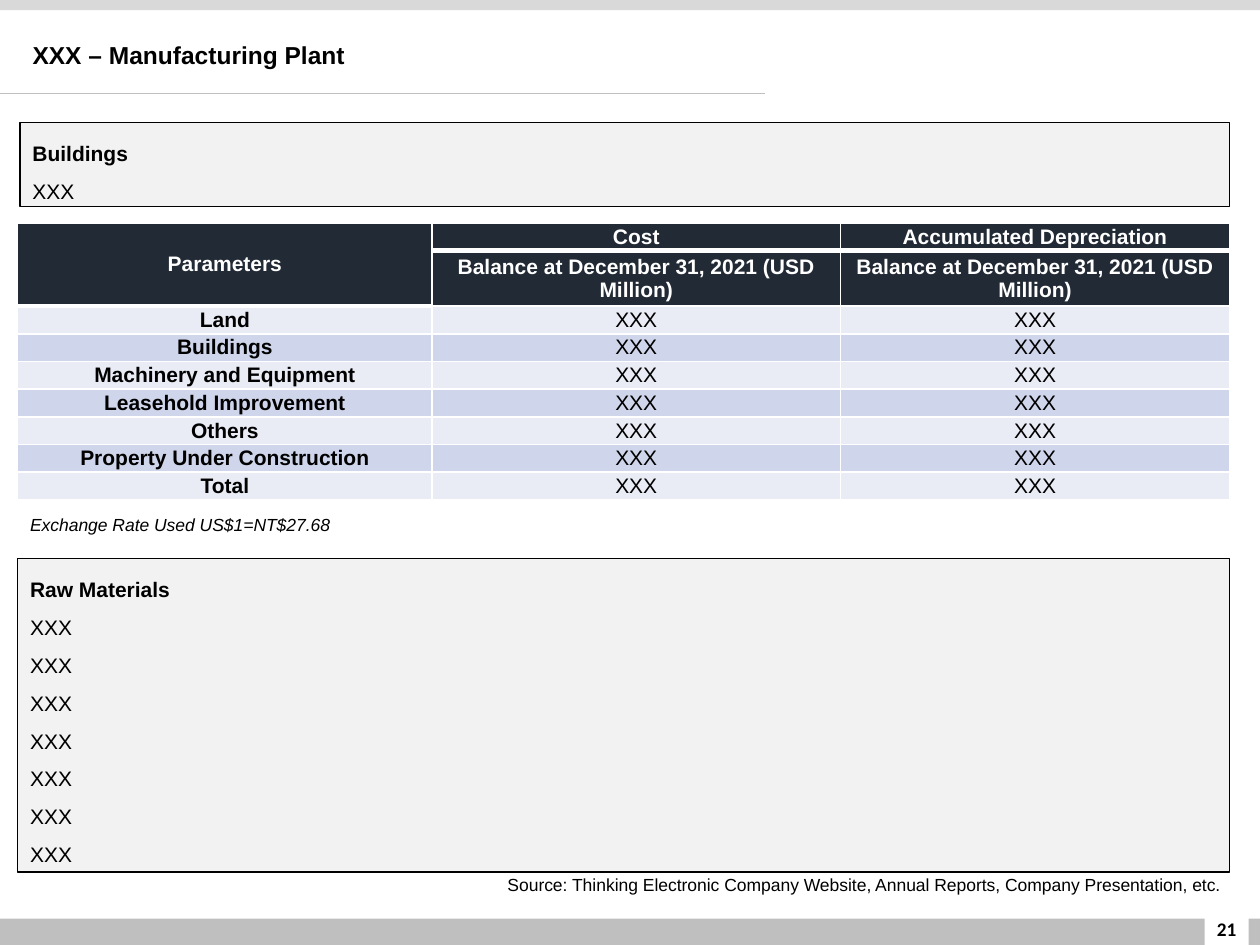
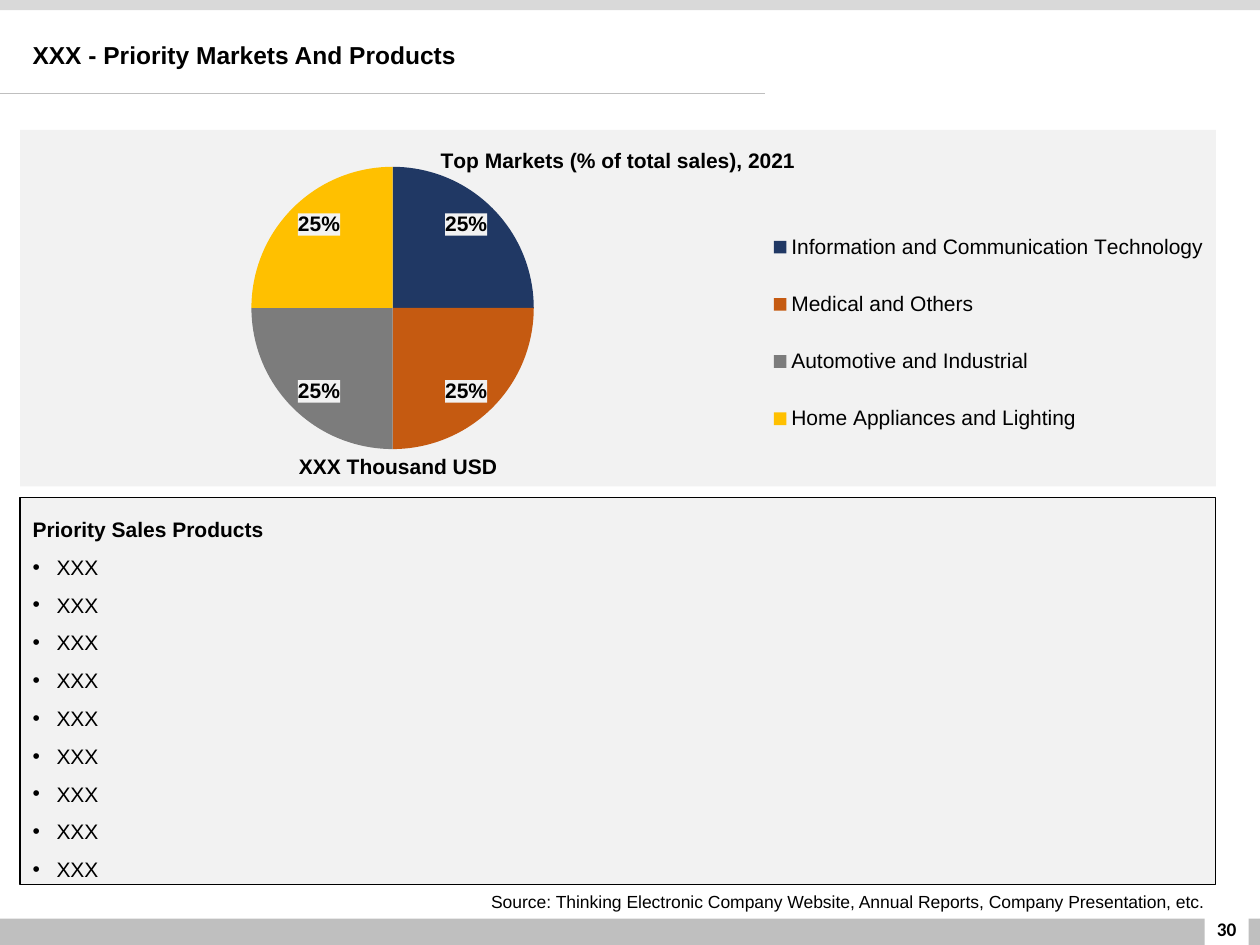
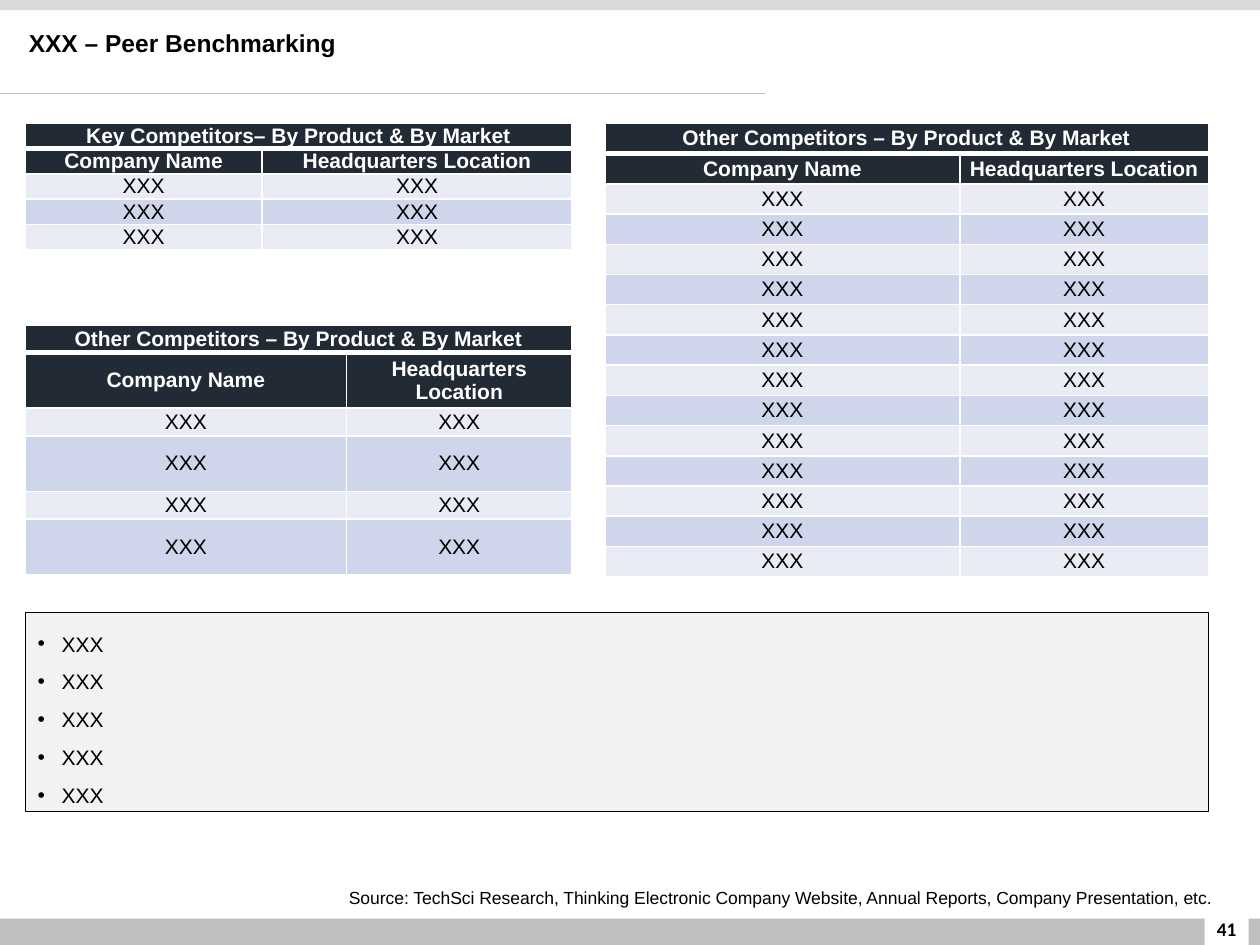
"""Build three company profile slides: plant, priority markets and peer benchmarking."""
from pptx import Presentation
from pptx.chart.data import CategoryChartData
from pptx.dml.color import RGBColor
from pptx.enum.chart import XL_CHART_TYPE, XL_LABEL_POSITION, XL_LEGEND_POSITION
from pptx.enum.shapes import MSO_CONNECTOR, MSO_SHAPE
from pptx.enum.text import MSO_ANCHOR, PP_ALIGN
from pptx.oxml import parse_xml
from pptx.oxml.ns import nsdecls, qn
from pptx.util import Inches, Pt
from lxml.etree import SubElement

BLACK = RGBColor(0x00, 0x00, 0x00)
WHITE = RGBColor(0xFF, 0xFF, 0xFF)
TOP_GRAY = RGBColor(0xD9, 0xD9, 0xD9)
FOOTER_GRAY = RGBColor(0xBF, 0xBF, 0xBF)
PANEL_GRAY = RGBColor(0xF2, 0xF2, 0xF2)
HEADER_NAVY = RGBColor(0x22, 0x2A, 0x35)
ROW_TINTS = [RGBColor(0xE9, 0xEB, 0xF5), RGBColor(0xCF, 0xD5, 0xEA)]
SLICE_COLORS = [
    RGBColor(0x20, 0x38, 0x64),
    RGBColor(0xC5, 0x5A, 0x11),
    RGBColor(0x7C, 0x7C, 0x7C),
    RGBColor(0xFF, 0xC0, 0x00),
]
FONT = "Arial"
HIDDEN = "XXX"
COMPANY_SOURCES = "Thinking Electronic Company Website, Annual Reports, Company Presentation, etc."


def add_text(slide, box, text, size, bold=False, italic=False, align=PP_ALIGN.LEFT, font=FONT):
    label = slide.shapes.add_textbox(*map(Inches, box))
    frame = label.text_frame
    frame.word_wrap = True
    frame.text = text
    frame.paragraphs[0].alignment = align
    run_font = frame.paragraphs[0].runs[0].font
    run_font.name, run_font.size = font, Pt(size)
    run_font.bold, run_font.italic = bold, italic
    run_font.color.rgb = BLACK
    return label


def add_grid(slide, left, top, widths, heights, rows, merge_to, bold_names=False):
    grid = slide.shapes.add_table(
        len(rows), len(widths), Inches(left), Inches(top),
        Inches(sum(widths)), Inches(sum(heights))).table
    for column, width in zip(grid.columns, widths):
        column.width = Inches(width)
    for row, height in zip(grid.rows, heights):
        row.height = Inches(height)
    for r, values in enumerate(rows):
        header = r < 2
        for c, value in enumerate(values):
            cell = grid.cell(r, c)
            cell.margin_left = cell.margin_right = cell.margin_top = cell.margin_bottom = 0
            cell.vertical_anchor = MSO_ANCHOR.MIDDLE
            properties = cell._tc.get_or_add_tcPr()
            for side in "LRTB":
                thick = (r == 0 and side == "B") or (r == 1 and side == "T")
                properties.append(parse_xml(
                    f'<a:ln{side} {nsdecls("a")} w="{Pt(3 if thick else 1)}"><a:solidFill>'
                    f'<a:srgbClr val="{WHITE}"/></a:solidFill></a:ln{side}>'))
            cell.fill.solid()
            cell.fill.fore_color.rgb = HEADER_NAVY if header else ROW_TINTS[r % 2]
            cell.text = value
            paragraph = cell.text_frame.paragraphs[0]
            paragraph.alignment = PP_ALIGN.CENTER
            for run in paragraph.runs:
                run.font.name, run.font.size = FONT, Pt(12)
                run.font.bold = header or (bold_names and c == 0)
                run.font.color.rgb = WHITE if header else BLACK
    grid.cell(0, 0).merge(grid.cell(*merge_to))


prs = Presentation()
prs.slide_width, prs.slide_height = Inches(10), Inches(7.5)

bands = [
    ((0, 7.29, 10.02, 0.23), FOOTER_GRAY),
    ((0, 0, 10.02, 0.08), TOP_GRAY),
    ((9.56, 7.13, 0.35, 0.38), WHITE),
]
pages = [
    ("21", "XXX – Manufacturing Plant", (0.16, 0.27, 6.62, 0.34),
     "Source: " + COMPANY_SOURCES, (2.91, 6.89, 6.87, 0.27)),
    ("30", "XXX - Priority Markets And Products", (0.16, 0.27, 6.62, 0.34),
     "Source: " + COMPANY_SOURCES, (3.52, 7.02, 6.13, 0.27)),
    ("41", "XXX – Peer Benchmarking", (0.13, 0.17, 6.41, 0.34),
     "Source: TechSci Research, " + COMPANY_SOURCES, (1.13, 6.99, 8.58, 0.27)),
]
for number, title, title_box, source, source_box in pages:
    slide = prs.slides.add_slide(prs.slide_layouts[6])
    for box, color in bands:
        band = slide.shapes.add_shape(MSO_SHAPE.RECTANGLE, *map(Inches, box))
        band.shadow.inherit = False
        band.fill.solid()
        band.fill.fore_color.rgb = color
        band.line.fill.background()
    page_number = add_text(slide, (9.49, 7.17, 0.49, 0.4), number, 11, bold=True,
                           align=PP_ALIGN.CENTER, font="Calibri")
    page_number.text_frame.vertical_anchor = MSO_ANCHOR.MIDDLE
    title_rule = slide.shapes.add_connector(
        MSO_CONNECTOR.STRAIGHT, 0, Inches(0.74), Inches(6.07), Inches(0.74))
    title_rule.line.color.rgb = FOOTER_GRAY
    title_rule.line.width = Pt(0.5)
    SubElement(title_rule._element.spPr, qn("a:effectLst"))
    add_text(slide, title_box, title, 14, bold=True)
    add_text(slide, source_box, source, 10, align=PP_ALIGN.RIGHT)

plant, markets, peers = prs.slides

panels = [
    (plant, (0.16, 0.97, 9.6, 0.67), "Buildings", 1, False),
    (plant, (0.14, 4.43, 9.62, 2.49), "Raw Materials", 7, False),
    (markets, (0.16, 3.95, 9.49, 3.07), "Priority Sales Products", 9, True),
    (peers, (0.2, 4.86, 9.39, 1.58), None, 5, True),
]
for slide, box, heading, item_count, bulleted in panels:
    panel = slide.shapes.add_shape(MSO_SHAPE.RECTANGLE, *map(Inches, box))
    panel.shadow.inherit = False
    panel.fill.solid()
    panel.fill.fore_color.rgb = PANEL_GRAY
    panel.line.color.rgb = BLACK
    panel.line.width = Pt(0.75)
    frame = panel.text_frame
    frame.word_wrap = True
    frame.vertical_anchor = MSO_ANCHOR.TOP
    frame.text = "\n".join(([heading] if heading else []) + [HIDDEN] * item_count)
    for i, paragraph in enumerate(frame.paragraphs):
        is_heading = heading is not None and i == 0
        if bulleted and not is_heading:
            properties = paragraph._p.get_or_add_pPr()
            properties.set("marL", str(Inches(0.19)))
            properties.set("indent", str(-Inches(0.19)))
            SubElement(properties, qn("a:buFont")).set("typeface", FONT)
            SubElement(properties, qn("a:buChar")).set("char", "•")
        paragraph.alignment = PP_ALIGN.LEFT
        paragraph.line_spacing = 1.5
        run_font = paragraph.runs[0].font
        run_font.name, run_font.size = FONT, Pt(12)
        run_font.bold = is_heading
        run_font.color.rgb = BLACK

balance = "Balance at December 31, 2021 (USD Million)"
assets = ["Land", "Buildings", "Machinery and Equipment", "Leasehold Improvement",
          "Others", "Property Under Construction", "Total"]
asset_rows = [["Parameters", "Cost", "Accumulated Depreciation"], ["", balance, balance]]
asset_rows += [[asset, HIDDEN, HIDDEN] for asset in assets]
add_grid(plant, 0.14, 1.77, [3.29, 3.24, 3.09], [0.22, 0.44] + [0.22] * len(assets),
         asset_rows, (1, 0), bold_names=True)
add_text(plant, (0.14, 4.03, 3.22, 0.27), "Exchange Rate Used US$1=NT$27.68", 10, italic=True)

market_shares = CategoryChartData(number_format="0%")
market_shares.categories = [
    "Information and Communication Technology", "Medical and Others",
    "Automotive and Industrial", "Home Appliances and Lighting"]
market_shares.add_series("Series 1", [0.25] * 4)
pie = markets.shapes.add_chart(
    XL_CHART_TYPE.PIE, Inches(0.16), Inches(1.03), Inches(9.49), Inches(2.83),
    market_shares).chart
pie.font.name, pie.font.size = "Calibri", Pt(10)
pie.font.color.rgb = BLACK
pie.has_title = True
pie.chart_title.text_frame.text = "Top Markets (% of total sales), 2021"
pie.has_legend = True
pie.legend.position = XL_LEGEND_POSITION.RIGHT
pie.legend.include_in_layout = False
plot = pie.plots[0]
plot.vary_by_categories = True
plot.has_data_labels = True
labels = plot.data_labels
labels.show_value = True
labels.show_percentage = False
labels.number_format, labels.number_format_is_linked = "0%", False
labels.position = XL_LABEL_POSITION.INSIDE_END
title_font = pie.chart_title.text_frame.paragraphs[0].runs[0].font
for chart_font, bold in [(title_font, True), (pie.legend.font, False), (labels.font, True)]:
    chart_font.name, chart_font.size, chart_font.bold = FONT, Pt(12), bold
    chart_font.color.rgb = BLACK
for i, color in enumerate(SLICE_COLORS):
    market_slice = plot.series[0].points[i].format
    market_slice.fill.solid()
    market_slice.fill.fore_color.rgb = color
    market_slice.line.fill.background()

chart_root = pie._chartSpace
for anchor in (chart_root.find(qn("c:chart")), labels._element.find(qn("c:numFmt"))):
    anchor.addnext(parse_xml(
        f'<c:spPr {nsdecls("c", "a")}><a:solidFill><a:srgbClr val="{PANEL_GRAY}"/>'
        '</a:solidFill><a:ln><a:noFill/></a:ln></c:spPr>'))
plot_area = chart_root.find(".//" + qn("c:plotArea"))
for part, target, position in [(plot_area, "inner", (0, 0.104, 0.623, 0.792)),
                               (pie.legend._element, None, (0.62, 0.2, 0.38, 0.74))]:
    for old_layout in part.findall(qn("c:layout")):
        part.remove(old_layout)
    layout = parse_xml(f'<c:layout {nsdecls("c")}><c:manualLayout/></c:layout>')
    settings = [("layoutTarget", target)] if target else []
    settings += [("xMode", "edge"), ("yMode", "edge"), *zip("xywh", position)]
    for key, value in settings:
        SubElement(layout[0], qn("c:" + key)).set("val", str(value))
    if target:
        part.insert(0, layout)
    else:
        part.find(qn("c:legendPos")).addnext(layout)
add_text(markets, (1.8, 3.55, 2.72, 0.3), "XXX Thousand USD", 12, bold=True,
         align=PP_ALIGN.CENTER)

competitor_grids = [
    ("Key Competitors– By Product & By Market", 0.2, 0.98, [1.88, 2.46], [0.2] * 5),
    ("Other Competitors – By Product & By Market", 4.8, 0.98, [2.82, 1.97], [0.24] * 15),
    ("Other Competitors – By Product & By Market", 0.2, 2.58, [2.55, 1.79], [0.22, 0.44] * 3),
]
for heading, left, top, widths, heights in competitor_grids:
    competitor_rows = [[heading, ""], ["Company Name", "Headquarters Location"]]
    competitor_rows += [[HIDDEN, HIDDEN]] * (len(heights) - 2)
    add_grid(peers, left, top, widths, heights, competitor_rows, (0, 1))

prs.save("out.pptx")
